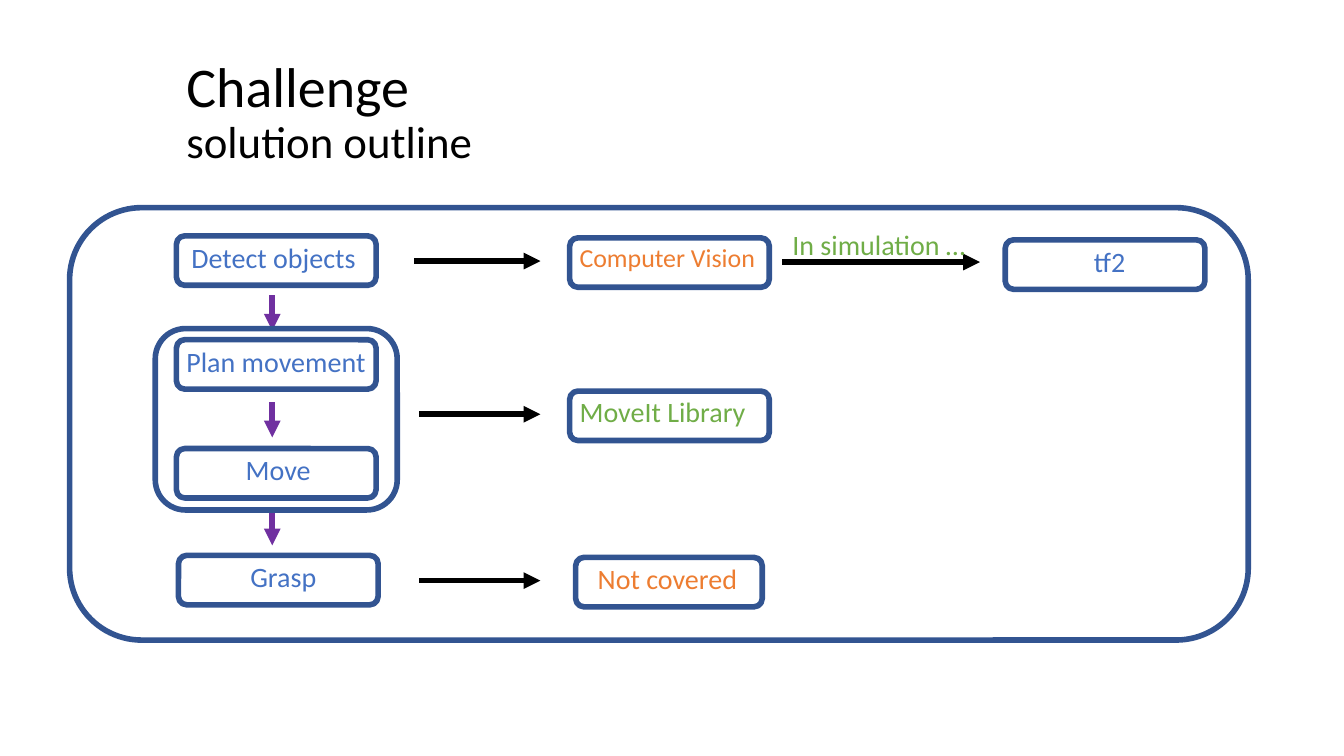
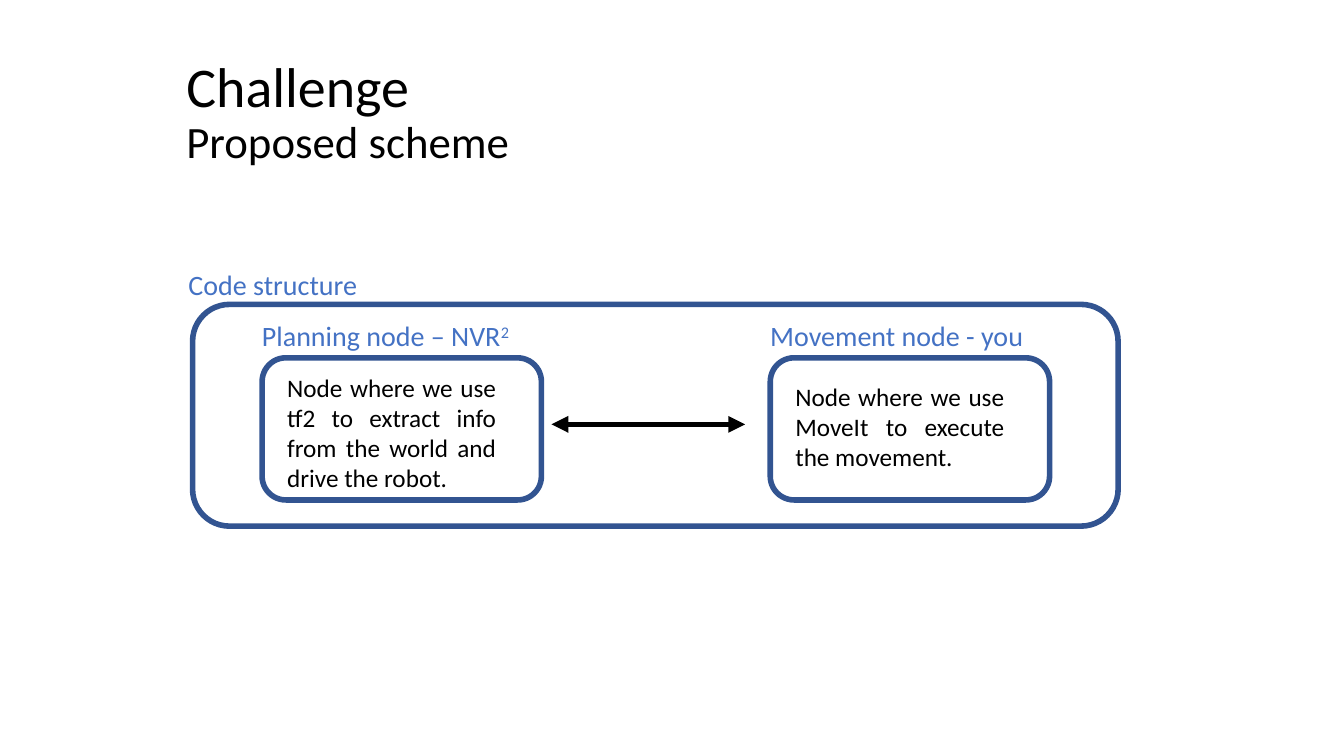
"""Build two slides on the challenge: solution outline and proposed scheme."""
from lxml import etree
from pptx import Presentation
from pptx.dml.color import RGBColor
from pptx.enum.shapes import MSO_CONNECTOR, MSO_SHAPE
from pptx.enum.text import MSO_ANCHOR, PP_ALIGN
from pptx.oxml.ns import qn
from pptx.util import Inches, Pt

ROUND = MSO_SHAPE.ROUNDED_RECTANGLE
LINE = MSO_CONNECTOR.STRAIGHT
MIDDLE = MSO_ANCHOR.MIDDLE
LEFT, CENTER, JUSTIFY = PP_ALIGN.LEFT, PP_ALIGN.CENTER, PP_ALIGN.JUSTIFY

FONT = "Calibri"
COLORS = {
    "frame": "325491", "blue": "4472C4", "orange": "ED7D31",
    "green": "70AD47", "purple": "7030A0", "black": "000000",
}
LABEL = {"alignment": LEFT, "line_spacing": 0.9, "space_before": Pt(10)}
MID = {**LABEL, "alignment": CENTER}
BODY = {"alignment": JUSTIFY}
TITLE = {"alignment": LEFT, "line_spacing": 0.9}
STROKE = Pt(4)
WIDE, HIGH = 1.98, 0.49
NODE = (2.77, 1.41)

OUTLINE = {
    "title": "solution outline",
    "arrows": [
        *[(2.7, top, 2.7, top + 0.35, "purple", ["tailEnd"])
          for top in (2.93, 3.99, 5.06)],
        (4.11, 2.59, 5.36, 2.59, "black", ["tailEnd"]),
        (4.16, 4.11, 5.36, 4.11, "black", ["tailEnd"]),
        (4.16, 5.76, 5.36, 5.76, "black", ["tailEnd"]),
        (7.76, 2.6, 9.72, 2.6, "black", ["tailEnd"]),
    ],
    "frames": [
        (0.69, 2.06, 11.69, 4.29),
        (1.54, 3.26, 2.4, 1.8),
        *[(left, top, WIDE, HIGH) for left, top in (
            (1.75, 2.34), (1.75, 3.37), (1.75, 4.45), (1.77, 5.51),
            (5.65, 2.36), (5.65, 3.88), (9.97, 2.38))],
        (5.71, 5.53, 1.85, HIGH),
    ],
    "texts": [
        ("Detect objects", (1.8, 2.37, WIDE, 0.47), "blue", 20, LABEL),
        ("Plan movement", (1.75, 3.41, 2.19, 0.47), "blue", 20, LABEL),
        ("Move ", (1.8, 4.48, WIDE, 0.47), "blue", 20, MID),
        ("Grasp", (1.82, 5.54, WIDE, 0.47), "blue", 20, MID),
        ("Computer Vision", (5.65, 2.38, 2.07, 0.55), "orange", 18.5, LABEL),
        ("MoveIt Library", (5.65, 3.9, 2.07, 0.55), "green", 20, LABEL),
        ("Not covered", (5.83, 5.56, 2.07, 0.55), "orange", 20, LABEL),
        ("In simulation …", (7.76, 2.25, 2.07, 0.55), "green", 20, LABEL),
        ("tf2", (9.97, 2.41, 2.07, 0.55), "blue", 20, MID),
    ],
}
SCHEME = {
    "title": "Proposed scheme",
    "arrows": [(5.47, 4.21, 7.39, 4.21, "black", ["headEnd", "tailEnd"])],
    "frames": [
        (1.91, 3.02, 9.18, 2.2),
        *[(left, 3.55, *NODE) for left in (2.6, 7.64)],
    ],
    "texts": [
        ("Code structure", (1.77, 2.64, 2.53, 0.59), "blue", 20, LABEL),
        ("Planning node – NVR^2", (2.5, 3.15, 2.97, 0.59), "blue", 20, LABEL),
        ("Movement node - you", (7.54, 3.15, 2.87, 0.59), "blue", 20, LABEL),
        ("Node where we use tf2 to extract info from the world and drive "
         "the robot.", (2.75, 3.64, 2.27, 1.23), "black", 18, BODY),
        ("Node where we use MoveIt to execute the movement.",
         (7.79, 3.73, 2.27, 0.94), "black", 18, BODY),
    ],
}


def paint(tone):
    return RGBColor.from_string(COLORS[tone])


def write(slide, words, place, tone, size, style):
    frame = slide.shapes.add_textbox(*map(Inches, place)).text_frame
    frame.word_wrap = True
    para = frame.paragraphs[0]
    for name, value in style.items():
        setattr(para, name, value)
    base, _, power = words.partition("^")
    para.text = base
    if power:
        run = para.add_run()
        run.text = power
        run._r.get_or_add_rPr().set("baseline", "30000")
    for run in para.runs:
        for name, value in {"name": FONT, "size": Pt(size)}.items():
            setattr(run.font, name, value)
        run.font.color.rgb = paint(tone)
    return frame


deck = Presentation()
deck.slide_width, deck.slide_height = Inches(13.33), Inches(7.5)

for page in (OUTLINE, SCHEME):
    slide = deck.slides.add_slide(deck.slide_layouts[6])
    title = write(slide, "Challenge\v" + page["title"],
                  (1.75, 0.4, 8.37, 1.45), "black", 40, TITLE)
    title.vertical_anchor = MIDDLE
    title.paragraphs[0].runs[1].font.size = Pt(32)

    for *ends, tone, heads in page["arrows"]:
        arrow = slide.shapes.add_connector(LINE, *map(Inches, ends))
        arrow.line.width = STROKE
        arrow.line.color.rgb = paint(tone)
        for head in heads:
            etree.SubElement(arrow.element.spPr.find(qn("a:ln")),
                             qn("a:" + head), type="triangle")
        etree.SubElement(arrow.element.spPr, qn("a:effectLst"))

    for place in page["frames"]:
        box = slide.shapes.add_shape(ROUND, *map(Inches, place))
        box.shadow.inherit = False
        box.fill.background()
        box.line.width = STROKE
        box.line.color.rgb = paint("frame")

    for item in page["texts"]:
        write(slide, *item)

deck.save("out.pptx")
